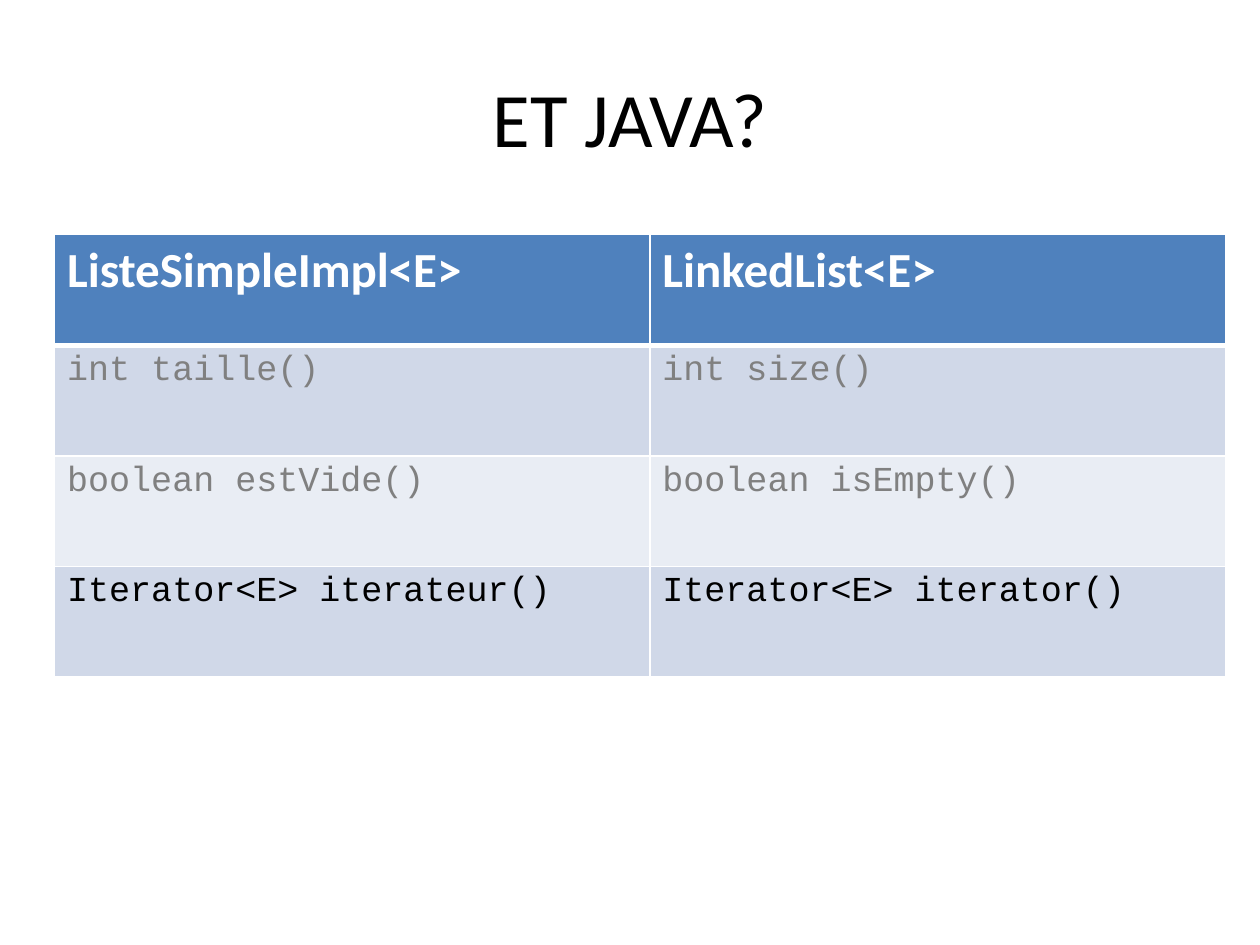
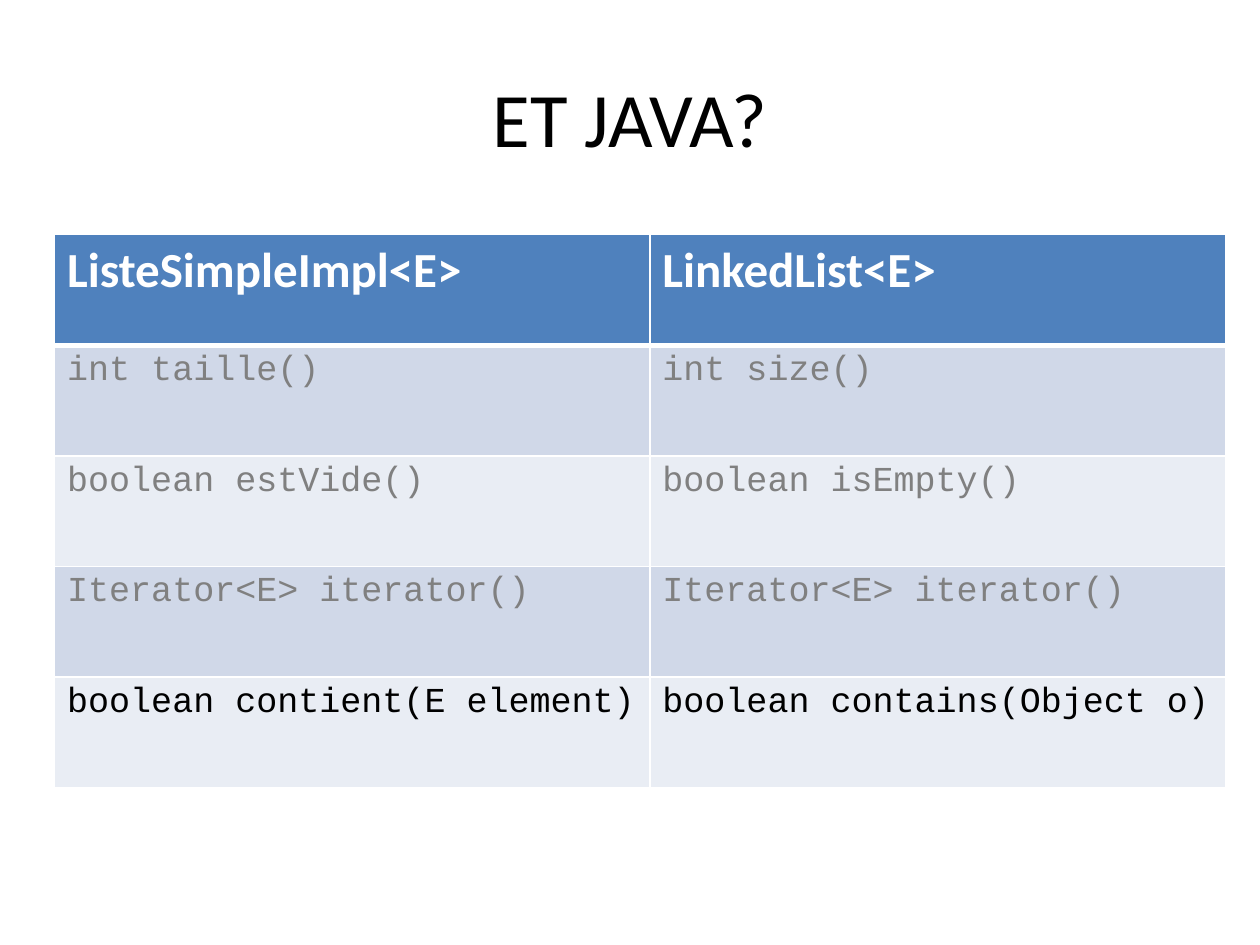
from lxml.etree import SubElement
from pptx import Presentation
from pptx.dml.color import RGBColor
from pptx.enum.text import MSO_ANCHOR, PP_ALIGN
from pptx.oxml.ns import qn
from pptx.util import Cm, Pt

TITLE = "ET JAVA?"
HEADER = ("ListeSimpleImpl<E>", "LinkedList<E>")
SIZE_METHODS = [
    ("int taille()", "int size()"),
    ("boolean estVide()", "boolean isEmpty()"),
]
# The last method pair of each slide is the one being introduced.
SLIDES = [
    SIZE_METHODS + [("Iterator<E> iterateur()", "Iterator<E> iterator()")],
    SIZE_METHODS + [
        ("Iterator<E> iterator()", "Iterator<E> iterator()"),
        ("boolean contient(E element)", "boolean contains(Object o)"),
    ],
]

BLACK = RGBColor(0x00, 0x00, 0x00)
WHITE = RGBColor(0xFF, 0xFF, 0xFF)
GREY = RGBColor(0x80, 0x80, 0x80)
HEADER_BLUE = RGBColor(0x4F, 0x81, 0xBD)
BANDS = (RGBColor(0xD0, 0xD8, 0xE8), RGBColor(0xE9, 0xED, 0xF4))

TEXT_FONT = "Calibri"
CODE_FONT = "Courier New"
COLUMN_WIDTHS = (Cm(12), Cm(11.6))
ROW_HEIGHT = Cm(2.23)
THIN, THICK = Pt(1), Pt(3)


def add_span(para, text, font, size, color, bold=False):
    span = para.add_run()
    span.text = text
    span.font.name = font
    span.font.size = Pt(size)
    span.font.color.rgb = color
    span.font.bold = bold


def add_title(page):
    box = page.shapes.add_textbox(Cm(1.27), Cm(0.76), Cm(22.86), Cm(3.18))
    frame = box.text_frame
    frame.word_wrap = True
    frame.vertical_anchor = MSO_ANCHOR.MIDDLE
    para = frame.paragraphs[0]
    para.alignment = PP_ALIGN.CENTER
    add_span(para, TITLE, TEXT_FONT, 44, BLACK)


def set_borders(cell, top, bottom):
    """Draw white cell borders; call before the fill, which must follow them."""
    properties = cell._tc.get_or_add_tcPr()
    for side, width in (("L", THIN), ("R", THIN), ("T", top), ("B", bottom)):
        line = SubElement(properties, qn(f"a:ln{side}"), w=str(width))
        fill = SubElement(line, qn("a:solidFill"))
        SubElement(fill, qn("a:srgbClr"), val=str(WHITE))


def add_methods_table(page, methods):
    rows = [HEADER] + methods
    table = page.shapes.add_table(
        len(rows), len(HEADER), Cm(1.1), Cm(4.73),
        sum(COLUMN_WIDTHS), ROW_HEIGHT * len(rows),
    ).table
    for column, width in zip(table.columns, COLUMN_WIDTHS):
        column.width = width

    for row_index, texts in enumerate(rows):
        if row_index == 0:
            fill, style = HEADER_BLUE, (TEXT_FONT, 28, WHITE, True)
        else:
            is_new = row_index == len(methods)
            fill = BANDS[(row_index - 1) % len(BANDS)]
            style = (CODE_FONT, 20, BLACK if is_new else GREY)
        for column_index, text in enumerate(texts):
            cell = table.cell(row_index, column_index)
            set_borders(
                cell,
                top=THICK if row_index == 1 else THIN,
                bottom=THICK if row_index == 0 else THIN,
            )
            cell.fill.solid()
            cell.fill.fore_color.rgb = fill
            add_span(cell.text_frame.paragraphs[0], text, *style)


def main():
    deck = Presentation()
    deck.slide_width, deck.slide_height = Cm(25.4), Cm(19.05)
    for methods in SLIDES:
        page = deck.slides.add_slide(deck.slide_layouts[6])
        add_title(page)
        add_methods_table(page, methods)
    deck.save("out.pptx")


if __name__ == "__main__":
    main()
